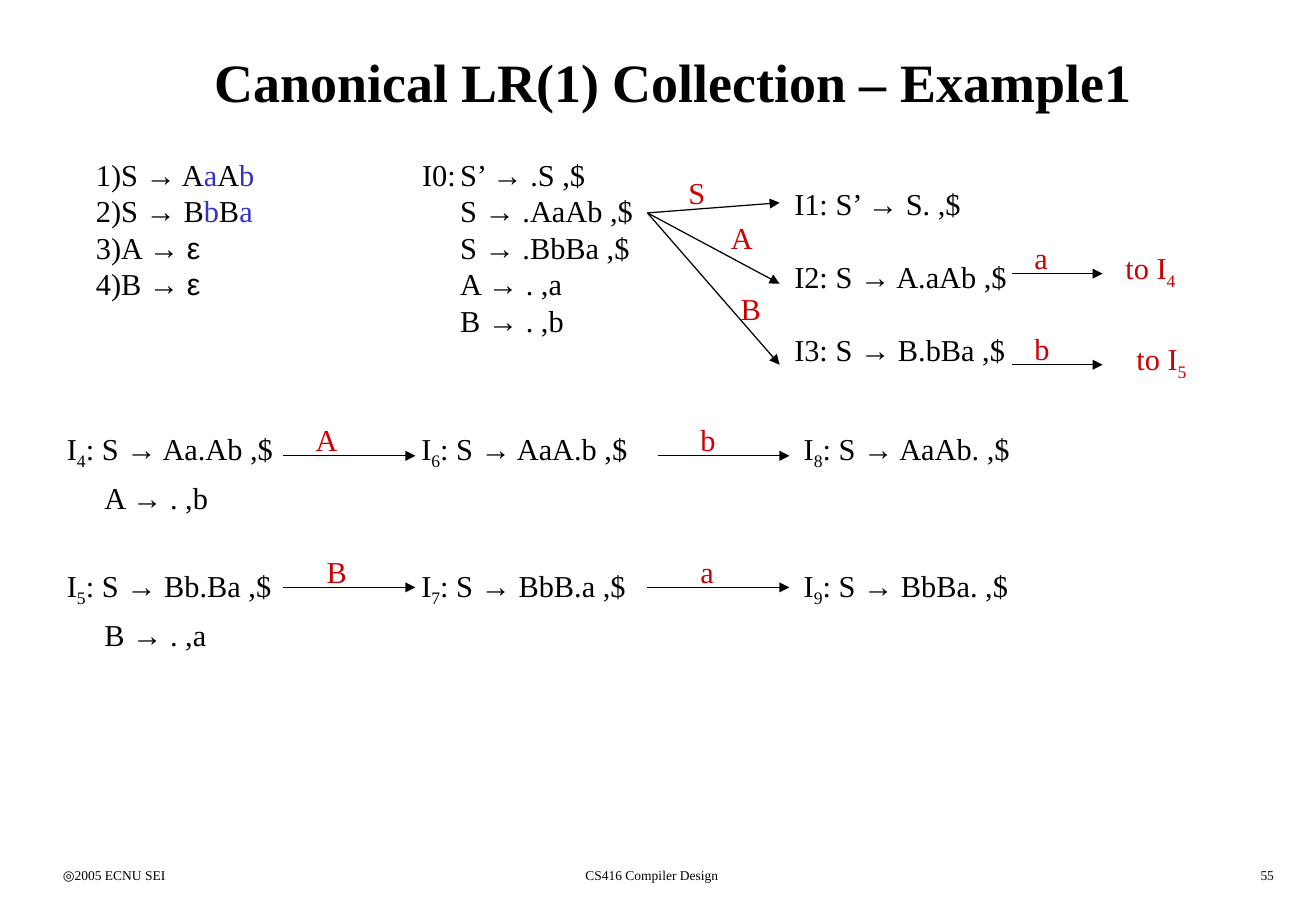
from itertools import groupby

from lxml import etree
from pptx import Presentation
from pptx.dml.color import RGBColor
from pptx.enum import shapes, text
from pptx.oxml.ns import qn
from pptx.util import Pt

BLACK, RED, BLUE = "000000", "CC0000", "3333CC"
SERIF, SANS = "Times New Roman", "Arial"
LEFT, CENTER, RIGHT = text.PP_ALIGN.LEFT, text.PP_ALIGN.CENTER, text.PP_ALIGN.RIGHT


def rgb(value):
    return RGBColor.from_string(value)


def styled_chars(line, color, terminals):
    """Yield each character with its style; "_" lowers the character after it,
    and terminals have their own colour up to the first tab."""
    lowered = False
    for char in line:
        if char == "_":
            lowered = True
            continue
        if char == "\t":
            terminals = color
        font = SANS if char in "→ε" else SERIF
        yield char, (font, terminals if char in "ab" else color, lowered)
        lowered = False


def add_tabs(p, stops):
    tabs = etree.SubElement(p._p.get_or_add_pPr(), qn("a:tabLst"))
    for stop in stops:
        etree.SubElement(tabs, qn("a:tab"), pos=str(Pt(stop)), algn="l")


def add_text(slide, box, lines, size=18, color=BLACK, terminals=None, bold=False,
             align=LEFT, anchor=text.MSO_ANCHOR.TOP, gaps=(), margins=(), tabs=()):
    """Write lines; gaps and margins hold one value for each line."""
    tf = slide.shapes.add_textbox(*map(Pt, box)).text_frame
    tf.word_wrap = True
    tf.vertical_anchor = anchor
    for i, line in enumerate(lines):
        p = tf.paragraphs[0] if i == 0 else tf.add_paragraph()
        if tabs:
            add_tabs(p, tabs)
        p.alignment = align
        if margins and margins[i]:
            p._p.get_or_add_pPr().set("marL", str(Pt(margins[i])))
        if gaps and gaps[i]:
            p.space_before = Pt(gaps[i])
        chars = styled_chars(line, color, terminals or color)
        for (font, tint, lowered), group in groupby(chars, lambda pair: pair[1]):
            r = p.add_run()
            r.text = "".join(char for char, _ in group)
            r.font.name, r.font.size, r.font.bold = font, Pt(size), bold
            r.font.color.rgb = rgb(tint)
            if lowered:
                r._r.get_or_add_rPr().set("baseline", "-25000")


def add_arrow(slide, start, end, label, label_at):
    line = slide.shapes.add_connector(
        shapes.MSO_CONNECTOR.STRAIGHT, *map(Pt, (*start, *end)))
    line.line.color.rgb = rgb(BLACK)
    line.line.width = Pt(0.75)
    etree.SubElement(line.line._get_or_add_ln(), qn("a:tailEnd"), type="triangle")
    etree.SubElement(line._element.spPr, qn("a:effectLst"))
    add_text(slide, (*label_at, 28, 28.8), [label], color=RED)


def add_level_arrow(slide, x1, x2, y, label, label_x):
    add_arrow(slide, (x1, y), (x2, y), label, (label_x, y - 24))


def add_title(slide, box):
    add_text(slide, box, ["Canonical LR(1) Collection – Example1"], size=32,
             bold=True, align=CENTER, anchor=text.MSO_ANCHOR.MIDDLE)


def add_grammar_and_start(slide, box):
    """Productions on the left, state I0 in the tabbed columns."""
    add_text(slide, box,
             ["1)S → AaAb\tI0:\tS’ → .S ,$", "2)S → BbBa\t\tS → .AaAb ,$",
              "3)A → ε\t\tS → .BbBa ,$", "4)B → ε\t\tA → . ,a", "\t\tB → . ,b"],
             terminals=BLUE, tabs=(193.5, 216))


def add_first_gotos(slide, x, y):
    """Fan of arrows out of I0, the states it reaches and their own exits."""
    fan = [("S", -6, 17.2, -26.6), ("A", 42, 42.4, 0), ("B", 90, 48.2, 42)]
    for label, drop, dx, dy in fan:
        add_arrow(slide, (x, y), (x + 78.4, y + drop), label, (x + dx, y + dy))
    add_text(slide, (x + 80, y - 20, 158.4, 115.2),
             ["I1: S’ → S. ,$", "I2: S → A.aAb ,$", "I3: S → B.bBa ,$"],
             gaps=(0, 21.6, 21.6))
    exits = [("a", "to I_4", 36, 276.4), ("b", "to I_5", 90, 282.9)]
    for label, target, drop, dx in exits:
        add_level_arrow(slide, x + 216, x + 270, y + drop, label, x + 222.4)
        add_text(slide, (x + dx, y + drop - 18, 50, 31.7), [target], color=RED)


def add_state_chains(slide, x, y):
    """Two chains of states, one above the other, joined by arrows."""
    add_text(slide, (x, y, 181.4, 140),
             ["I_4: S → Aa.Ab ,$", "A → . ,b", "I_5: S → Bb.Ba ,$", "B → . ,a"],
             gaps=(0, 4.5, 30.7, 4.5), margins=(0, 22.2, 0, 22.2))
    for dx, lines in [(210.2, ["I_6: S → AaA.b ,$", "I_7: S → BbB.a ,$"]),
                      (437, ["I_8: S → AaAb. ,$", "I_9: S → BbBa. ,$"])]:
        add_text(slide, (x + dx, y, 172, 124), lines, gaps=(0, 56.8))
    for label, start, end, drop, label_x in [
            ("A", 135.4, 213.8, 19, 147.6), ("B", 135.4, 213.8, 97, 154),
            ("b", 357.8, 435.6, 19, 375.8), ("a", 351.4, 435.6, 97, 375.8)]:
        add_level_arrow(slide, x + start, x + end, y + drop, label, x + label_x)


def add_footer(slide, y):
    for x, width, line, align in [(30.2, 162.7, "◎2005 ECNU SEI", LEFT),
                                  (240.5, 292.3, "CS416 Compiler Design", CENTER),
                                  (600, 162.7, "55", RIGHT)]:
        add_text(slide, (x, y, width, 18), [line], size=8, align=align)


def main():
    prs = Presentation()
    prs.slide_width, prs.slide_height = Pt(780.48), Pt(540)
    slide = prs.slides.add_slide(prs.slide_layouts[6])
    add_title(slide, (30.4, 12.2, 738, 72))
    add_grammar_and_start(slide, (49.8, 89, 345.6, 115.2))
    add_first_gotos(slide, 384, 126.2)
    add_state_chains(slide, 32.6, 251.2)
    add_footer(slide, 510.6)
    prs.save("out.pptx")


if __name__ == "__main__":
    main()
